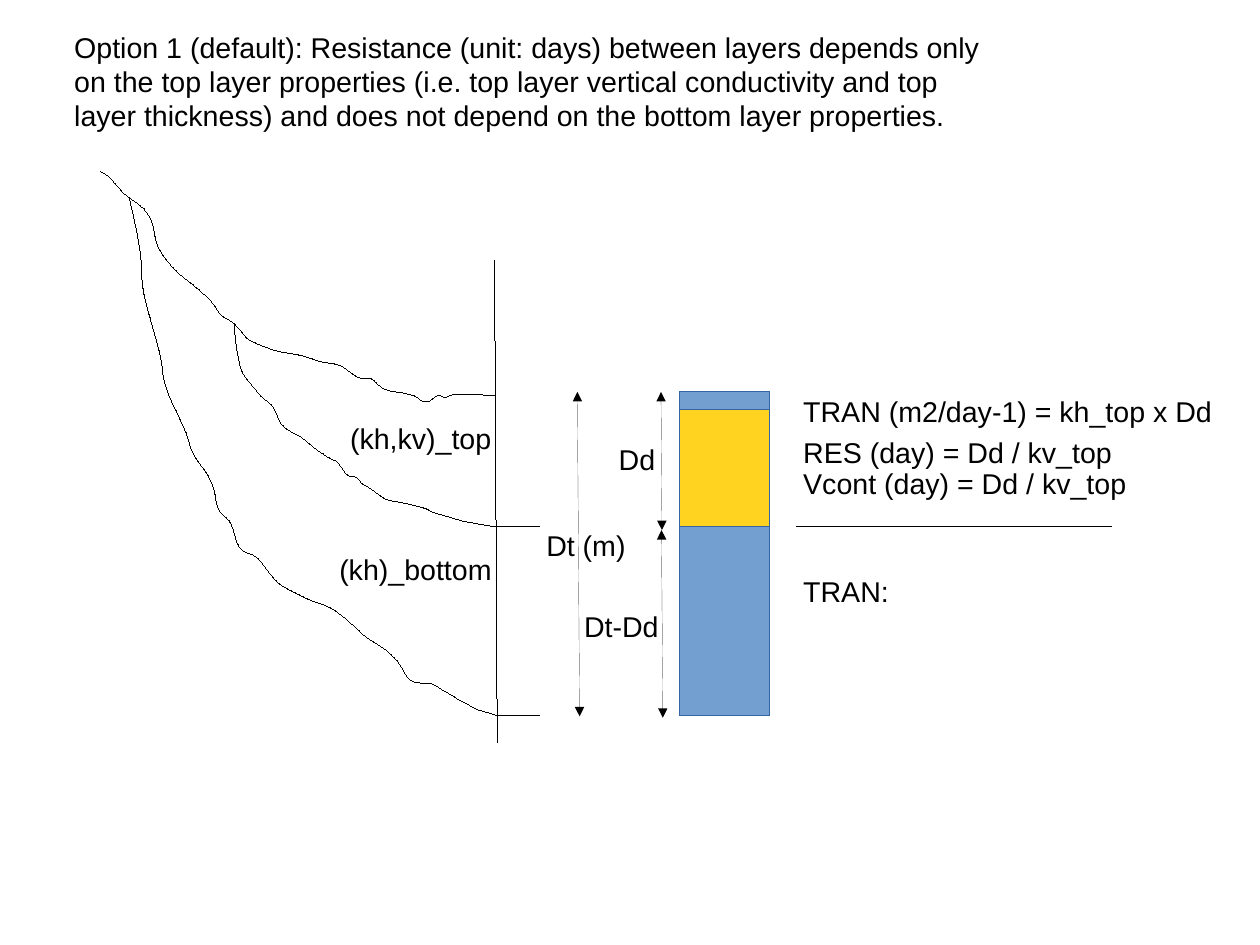
from pptx import Presentation
from pptx import util as u
from pptx.dml.color import RGBColor
from pptx.enum import shapes, text
from pptx.oxml import ns
from lxml import etree

Cm = u.Cm
BLACK = RGBColor(0x00, 0x00, 0x00)
BLUE = RGBColor(0x72, 0x9F, 0xCF)
YELLOW = RGBColor(0xFF, 0xD3, 0x20)
EDGE = RGBColor(0x34, 0x65, 0xA4)

UNIT = Cm(0.0254)
SURFACE = [
    (0, 0), (10, 4, 15, 16, 25, 23), (33, 29, 44, 33, 47, 54),
    (49, 70, 59, 79, 66, 87), (73, 94, 94, 108, 100, 118),
    (106, 129, 109, 127, 117, 133), (126, 142, 125, 146, 135, 150),
    (145, 154, 154, 158, 164, 159), (172, 160, 180, 162, 188, 165),
    (195, 168, 202, 167, 210, 170), (217, 173, 223, 182, 230, 181),
    (242, 179, 241, 190, 253, 192), (263, 194, 273, 194, 280, 200),
    (290, 207, 290, 191, 301, 198), (308, 195), (318, 195), (345, 196),
]
BOTTOM_BASE = [
    (25, 23), (30, 46, 36, 68, 36, 94), (37, 116, 52, 151, 54, 173),
    (55, 195, 72, 217, 77, 236), (82, 257, 96, 260, 100, 283),
    (103, 308, 111, 294, 117, 317), (122, 340, 130, 329, 140, 341),
    (149, 353, 153, 360, 163, 365), (173, 370, 181, 375, 192, 378),
    (203, 381, 216, 392, 226, 402), (239, 415, 255, 416, 266, 439),
    (275, 454, 285, 443, 295, 451), (305, 458, 303, 455, 313, 462),
    (330, 471), (347, 476), (384, 476),
]
TOP_BASE = [
    (117, 133), (117, 144, 119, 156, 121, 166),
    (123, 180, 132, 185, 138, 194), (144, 202, 150, 200, 155, 215),
    (159, 228, 172, 228, 180, 236), (187, 242, 196, 249, 203, 252),
    (211, 254, 213, 268, 220, 267), (227, 267, 226, 273, 232, 275),
    (239, 278, 245, 286, 253, 288), (260, 289, 283, 293, 290, 298),
    (317, 306), (345, 311), (384, 311),
]


def set_hairline(shape, color):
    """Give a shape or connector the thinnest line and return its XML."""
    shape.line.color.rgb = color
    outline = shape.element.spPr.get_or_add_ln()
    outline.set("w", "0")
    return outline


def add_line(page, start, end, arrows=False):
    """Draw a straight line, optionally with an arrowhead at each end."""
    line = page.shapes.add_connector(shapes.MSO_CONNECTOR.STRAIGHT, *start, *end)
    outline = set_hairline(line, BLACK)
    if arrows:
        for tag in ("a:headEnd", "a:tailEnd"):
            etree.SubElement(outline, ns.qn(tag), type="triangle")
    etree.SubElement(line.element.spPr, ns.qn("a:effectLst"))


def add_label(page, words, left, top, width, height=Cm(0.97), anchor=text.MSO_ANCHOR.TOP):
    """Add a wrapped black Arial text box."""
    box = page.shapes.add_textbox(left, top, width, height)
    frame = box.text_frame
    frame.word_wrap = True
    frame.vertical_anchor = anchor
    frame.text = words
    for span in frame.paragraphs[0].runs:
        span.font.name = "Arial"
        span.font.size = u.Pt(18)
        span.font.color.rgb = BLACK


def add_boundary(page, segments, left, top):
    """Draw an open outline of straight lines and cubic curves."""
    start = segments[0]
    builder = page.shapes.build_freeform(*start, scale=UNIT)
    builder.add_line_segments([segment[-2:] for segment in segments[1:]], close=False)
    boundary = builder.convert_to_shape(left, top)
    boundary.shadow.inherit = False
    boundary.fill.background()
    set_hairline(boundary, BLACK)
    steps = list(boundary.element.iter(ns.qn("a:lnTo")))
    for step, segment in zip(steps, segments[1:]):
        if len(segment) == 6:
            step.tag = ns.qn("a:cubicBezTo")
            for place in (0, 1):
                x, y = segment[2 * place:2 * place + 2]
                control = etree.Element(
                    ns.qn("a:pt"), x=str(x - start[0]), y=str(y - start[1]))
                step.insert(place, control)


def add_title(page, left, top, width, height):
    """Write the statement above the diagram."""
    add_label(
        page,
        "Option 1 (default): Resistance (unit: days) between layers depends only "
        "on the top layer properties (i.e. top layer vertical conductivity and top "
        "layer thickness) and does not depend on the bottom layer properties.",
        left, top, width, height, text.MSO_ANCHOR.MIDDLE)


def add_section(page, left, top):
    """Draw the layer boundaries, the vertical wall and the layer names."""
    for segments in (SURFACE, BOTTOM_BASE, TOP_BASE):
        add_boundary(page, segments, left, top)
    add_line(page, (left + Cm(8.75), top + Cm(1.98)), (left + Cm(8.81), top + Cm(12.7)))
    for words, x, y, width in (
            ("(kh,kv)_top", 5.29, 5.42, 3.7), ("(kh)_bottom", 5.05, 8.33, 4.17)):
        add_label(page, words, left + Cm(x), top + Cm(y), Cm(width), Cm(1.17))


def add_column(page, left, top):
    """Stack the column layers and mark their thicknesses."""
    layer_top = top
    for height, color in ((0.4, BLUE), (2.6, YELLOW), (4.19, BLUE)):
        layer = page.shapes.add_shape(
            shapes.MSO_SHAPE.RECTANGLE, left + Cm(3.2), layer_top, Cm(2.01), Cm(height))
        layer.shadow.inherit = False
        layer.fill.solid()
        layer.fill.fore_color.rgb = color
        set_hairline(layer, EDGE)
        layer_top += Cm(height)
    for x1, y1, x2, y2 in (
            (2.8, 0, 2.82, 3.07), (2.81, 3.07, 2.84, 7.24), (0.94, 0, 0.99, 7.21)):
        add_line(page, (left + Cm(x1), top + Cm(y1)), (left + Cm(x2), top + Cm(y2)), True)
    for words, x, y, width in (
            ("Dd", 1.61, 0.99, 1.8), ("Dt (m)", 0, 2.9, 2.41), ("Dt-Dd", 0.84, 4.7, 2.97)):
        add_label(page, words, left + Cm(x), top + Cm(y), Cm(width))


def add_equations(page, left, top):
    """List the formulas of both layers around a dividing line."""
    for words, y, width in (
            ("TRAN (m2/day-1) = kh_top x Dd", 0, 9.7),
            ("RES (day) = Dd / kv_top", 0.91, 9.4),
            ("Vcont (day) = Dd / kv_top", 1.6, 9.4),
            ("TRAN:", 4, 3.2)):
        add_label(page, words, left, top + Cm(y), Cm(width))
    divider = top + Cm(3.07)
    add_line(page, (left + Cm(0.1), divider), (left + Cm(7.09), divider))


deck = Presentation()
deck.slide_width, deck.slide_height = Cm(28), Cm(21)
page = deck.slides.add_slide(deck.slide_layouts[6])
add_title(page, Cm(1.4), Cm(0.61), Cm(21), Cm(2.39))
add_section(page, Cm(2.24), Cm(3.81))
add_column(page, Cm(11.89), Cm(8.71))
add_equations(page, Cm(17.6), Cm(8.64))
deck.save("out.pptx")
